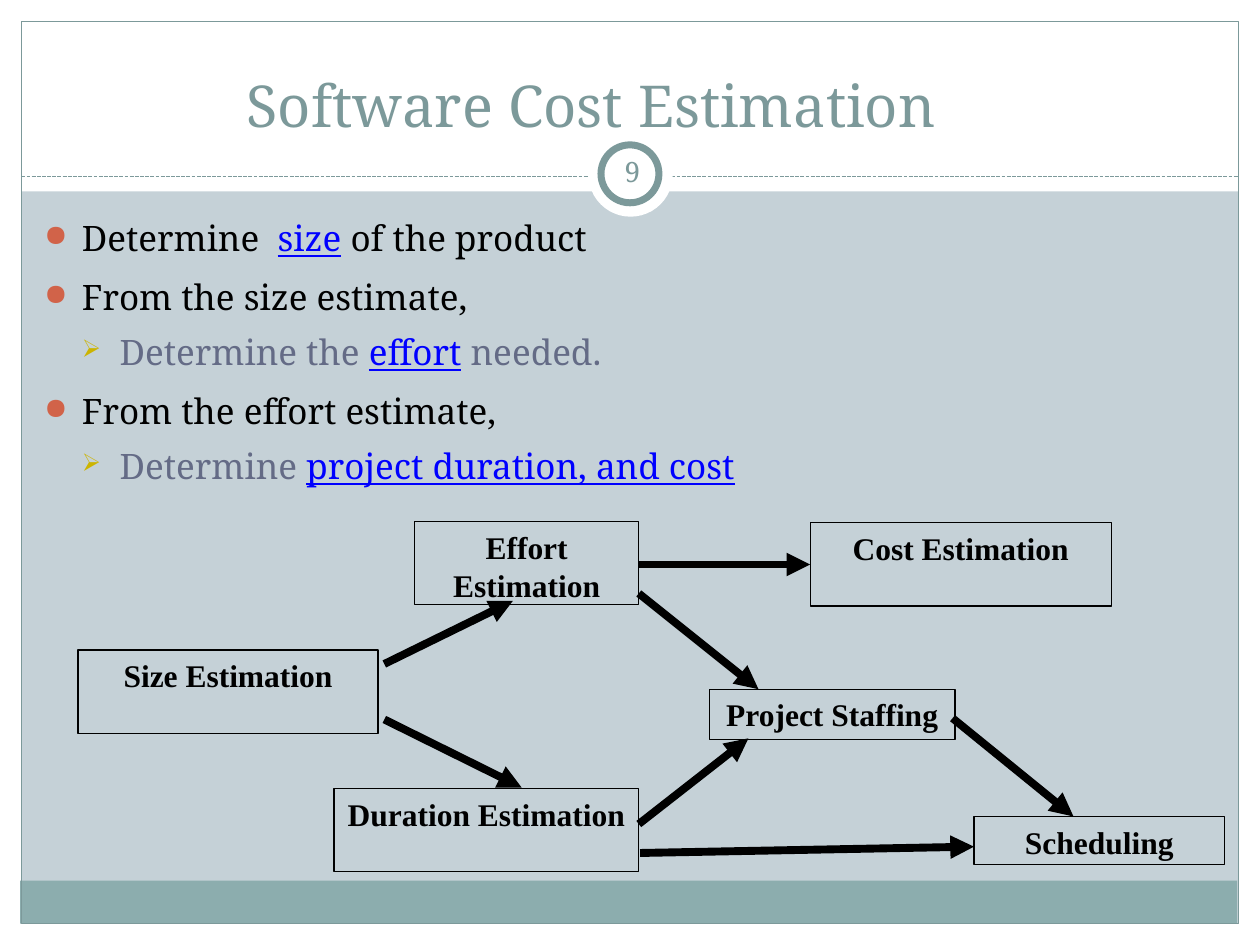
"""Build the slide on software cost estimation."""
import pptx
import pptx.util
import pptx.dml.color
import pptx.enum.dml
import pptx.enum.shapes
import pptx.enum.text
import pptx.oxml
import pptx.oxml.ns

COLUMNS, ROWS = 100, 75
SERIF, TIMES = "Noto Serif", "Times New Roman"
TEAL, WHITE, BLACK, BLUE, SLATE = "7C999A", "FFFFFF", "000000", "0000FF", "646B86"
ALIGN = pptx.enum.text.PP_ALIGN
ANCHOR = pptx.enum.text.MSO_ANCHOR
SHAPE = pptx.enum.shapes.MSO_SHAPE


def color(value):
    """Turn a hex string into a colour."""
    return pptx.dml.color.RGBColor.from_string(value)


def append_xml(parent, tag, attributes="", children=""):
    """Append one drawing element to a parent element."""
    namespace = pptx.oxml.ns.nsdecls("a")
    parent.append(pptx.oxml.parse_xml(f"<a:{tag} {namespace} {attributes}>{children}</a:{tag}>"))


def write(paragraph, text, size=20, font=SERIF, fill=BLACK, bold=False, underline=False):
    """Add a formatted run to a paragraph."""
    run = paragraph.add_run()
    run.text = text
    run.font.size = pptx.util.Pt(size)
    run.font.name = font
    run.font.bold = bold
    run.font.underline = underline
    run.font.color.rgb = color(fill)


class Deck:
    """Hold the style and the current slide."""

    def __init__(self, background):
        """Start a presentation with one title-only slide."""
        self.presentation = pptx.Presentation()
        self.presentation.slide_width = pptx.util.Inches(10)
        self.presentation.slide_height = pptx.util.Inches(7.5)
        self.slide = self.presentation.slides.add_slide(self.presentation.slide_layouts[5])
        self.slide.background.fill.solid()
        self.slide.background.fill.fore_color.rgb = color(background)

    def place(self, column, row):
        """Convert grid columns and rows to slide lengths."""
        return (round(self.presentation.slide_width * column / COLUMNS),
                round(self.presentation.slide_height * row / ROWS))

    def frame(self, shape, anchor, side=0.1):
        """Prepare the text frame of a shape and return its first paragraph."""
        frame = shape.text_frame
        frame.word_wrap = True
        frame.vertical_anchor = anchor
        frame.margin_left = frame.margin_right = pptx.util.Inches(side)
        frame.margin_top = frame.margin_bottom = pptx.util.Inches(0.05)
        return frame.paragraphs[0]

    def shape(self, column, row, width, height, fill=None, line=None, weight=0.75, kind=SHAPE.RECTANGLE):
        """Add a preset shape."""
        shape = self.slide.shapes.add_shape(kind, *self.place(column, row), *self.place(width, height))
        shape.shadow.inherit = False
        for format_fill, value in ((shape.fill, fill), (shape.line.fill, line)):
            if value:
                format_fill.solid()
                format_fill.fore_color.rgb = color(value)
            else:
                format_fill.background()
        if line:
            shape.line.width = pptx.util.Pt(weight)
        return shape

    def line(self, start, end, stroke=BLACK, weight=4.5, arrow=True):
        """Add an arrow or a dashed rule."""
        connector = self.slide.shapes.add_connector(
            pptx.enum.shapes.MSO_CONNECTOR.STRAIGHT, *self.place(*start), *self.place(*end))
        connector.line.color.rgb = color(stroke)
        connector.line.width = pptx.util.Pt(weight)
        if arrow:
            append_xml(connector.line._get_or_add_ln(), "tailEnd", 'type="triangle"')
        else:
            connector.line.dash_style = pptx.enum.dml.MSO_LINE.SQUARE_DOT
        append_xml(connector._element.spPr, "effectLst")

    def title(self, text, column, row, width, height):
        """Move, format and raise the title placeholder."""
        title = self.slide.shapes.title
        title.left, title.top = self.place(column, row)
        title.width, title.height = self.place(width, height)
        paragraph = self.frame(title, ANCHOR.MIDDLE, 0.02)
        paragraph.alignment = ALIGN.CENTER
        paragraph.space_before = pptx.util.Pt(9.9)
        write(paragraph, text, size=33, fill=TEAL)
        title._element.getparent().append(title._element)

    def text_box(self, column, row, width, height, anchor=ANCHOR.TOP, side=0.02):
        """Add a text box and return its first paragraph."""
        box = self.slide.shapes.add_textbox(*self.place(column, row), *self.place(width, height))
        return box, self.frame(box, anchor, side)

    def number(self, text, *area):
        """Add the slide number."""
        paragraph = self.text_box(*area, ANCHOR.MIDDLE, 0.05)[1]
        paragraph.alignment = ALIGN.CENTER
        write(paragraph, text, size=16, fill=TEAL)

    def bullets(self, items, *area):
        """Add a two-level bulleted list."""
        styles = ((9.9, "D16349", 85, "●", BLACK), (7.2, "CCB400", 70, "➢", SLATE))
        box, paragraph = self.text_box(*area)
        for index, (level, before, term, after) in enumerate(items):
            if index:
                paragraph = box.text_frame.add_paragraph()
            space, bullet_color, percent, mark, fill = styles[level]
            paragraph.level = level
            paragraph.space_before = pptx.util.Pt(space)
            properties = paragraph._p.get_or_add_pPr()
            indent = pptx.util.Inches(0.3)
            properties.set("marL", str(indent * (level + 1)))
            properties.set("indent", str(-indent))
            append_xml(properties, "buClr", children=f'<a:srgbClr val="{bullet_color}"/>')
            append_xml(properties, "buSzPct", f'val="{percent * 1000}"')
            append_xml(properties, "buChar", f'char="{mark}"')
            for text, is_term in ((before, False), (term, True), (after, False)):
                if text:
                    write(paragraph, text, fill=BLUE if is_term else fill, underline=is_term)

    def step(self, text, *area):
        """Add one labelled box of the flow."""
        paragraph = self.frame(self.shape(*area, line=BLACK), ANCHOR.TOP)
        paragraph.alignment = ALIGN.CENTER
        write(paragraph, text, size=18, font=TIMES, bold=True)


deck = Deck("C5D1D7")
for band in ((0, 73.3, 100, 1.7), (0, 0, 100, 15.2), (0, 0, 1.7, 75), (98.3, 0, 1.7, 75)):
    deck.shape(*band, fill=WHITE)
deck.shape(1.6, 69.9, 96.6, 3.4, fill="8CADAE")
deck.shape(1.7, 1.7, 96.6, 71.6, line=TEAL)
deck.line((1.7, 14), (98.3, 14), TEAL, 0.75, arrow=False)
deck.shape(46.7, 10.5, 6.7, 6.7, fill=WHITE, kind=SHAPE.OVAL)
deck.shape(47.7, 11.5, 4.6, 4.6, fill=WHITE, line=TEAL, weight=4, kind=SHAPE.OVAL)
deck.title("Software Cost Estimation", 4.4, 2, 85, 12.5)
deck.number("9", 47.7, 11.2, 5, 4.8)
deck.bullets((
    (0, "Determine  ", "size", " of the product"),
    (0, "From the size estimate,", "", ""),
    (1, "Determine the ", "effort", " needed."),
    (0, "From the effort estimate,", "", ""),
    (1, "Determine ", "project duration, and cost", ""),
), 3.3, 16.7, 93, 50)

for step in (
    ("Size Estimation", 6.2, 51.6, 23.8, 6.6),
    ("Effort Estimation", 32.9, 41.4, 17.8, 6.6),
    ("Cost Estimation", 64.3, 41.5, 23.9, 6.6),
    ("Duration Estimation", 26.5, 62.6, 24.2, 6.6),
    ("Project Staffing", 56.3, 54.7, 19.5, 4),
    ("Scheduling", 77.3, 64.8, 19.9, 3.8),
):
    deck.step(*step)

for start, end in (
    ((30.5, 52.7), (40.7, 47.7)),
    ((30.5, 57.1), (41.4, 62.5)),
    ((50.7, 44.8), (64.3, 44.8)),
    ((50.7, 47.1), (60.2, 54.7)),
    ((50.7, 65.4), (59.4, 58.6)),
    ((50.8, 67.7), (77.3, 67.2)),
    ((75.6, 57), (85.2, 64.8)),
):
    deck.line(start, end)

deck.presentation.save("out.pptx")
